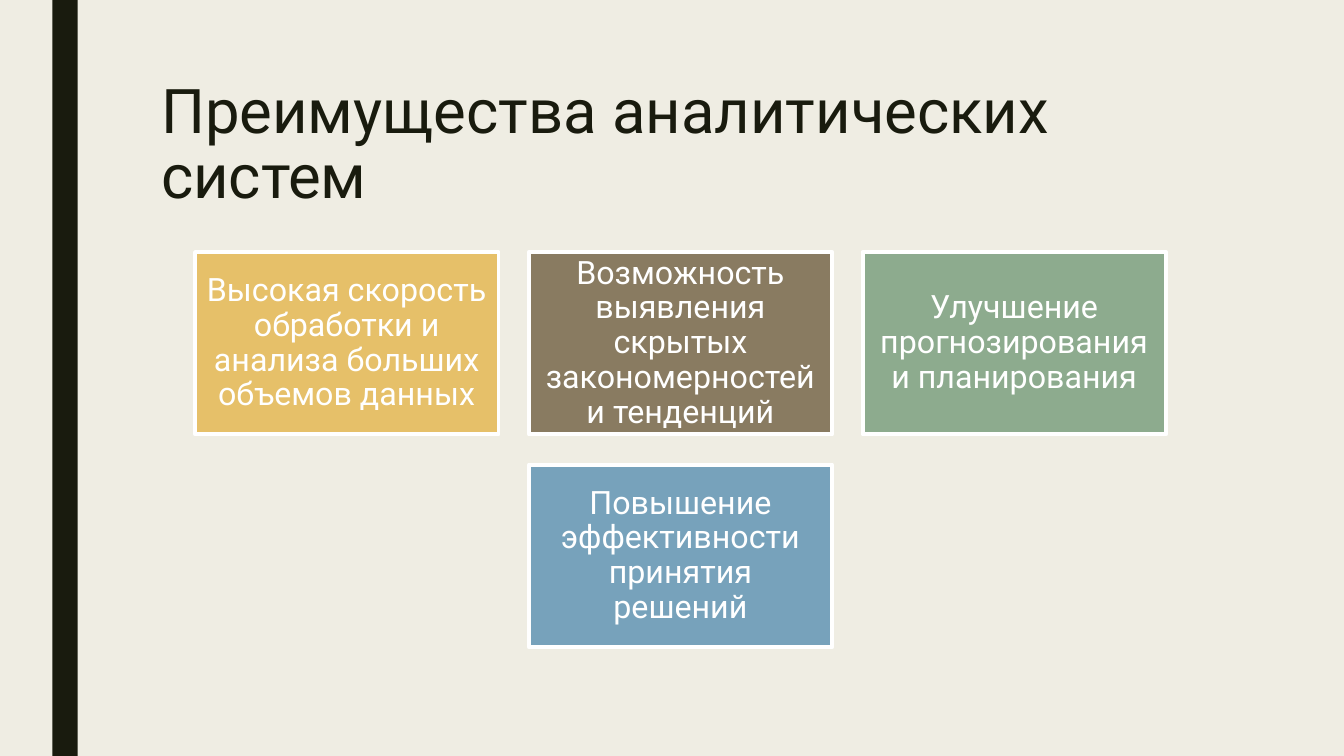
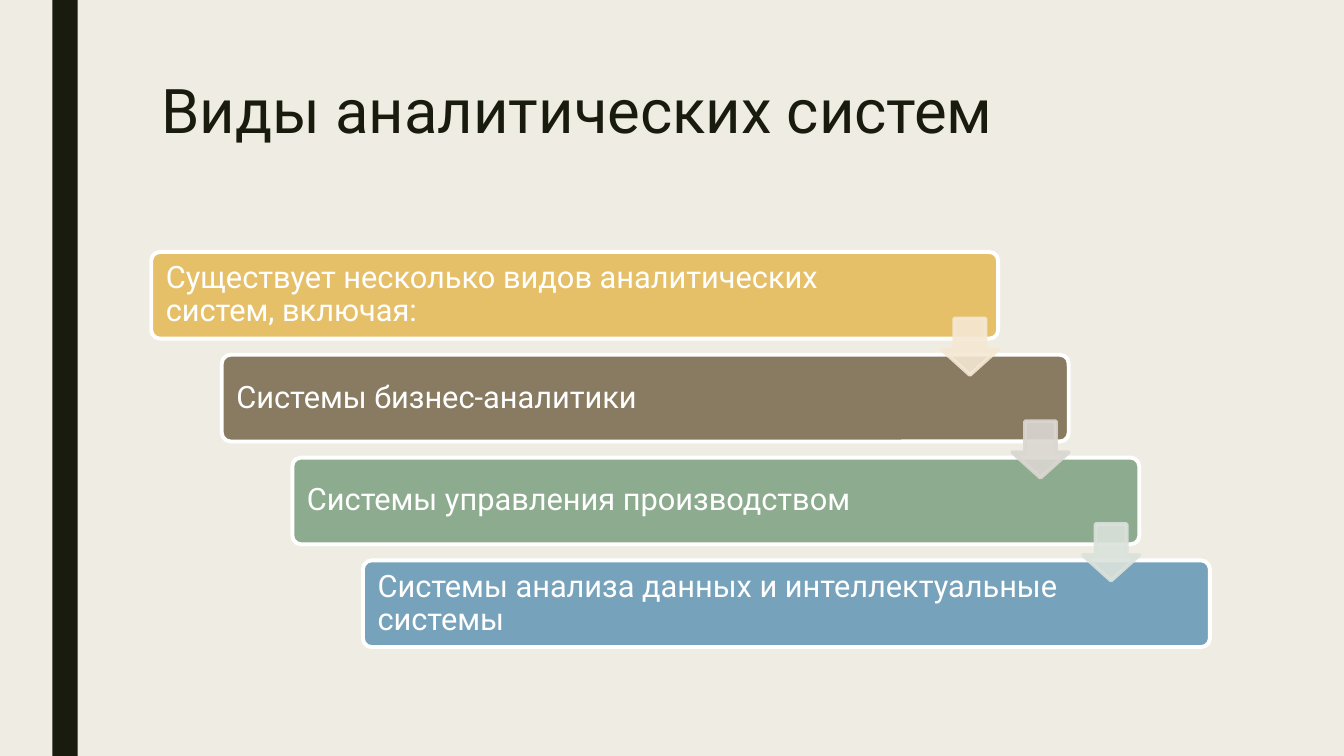
from lxml.etree import SubElement
from pptx import Presentation
from pptx.dml.color import RGBColor
from pptx.enum.shapes import MSO_SHAPE as SHAPE
from pptx.enum.text import MSO_ANCHOR as ANCHOR, PP_ALIGN as ALIGN
from pptx.oxml.ns import qn
from pptx.util import Inches, Pt

W, H = 13.33, 7.5
FONT = "Roboto"
COLORS = {
    "paper": "EFEDE3", "ink": "191B0E", "white": "FFFFFF",
    "gold": "E6C069", "brown": "897B61", "green": "8DAB8E", "blue": "77A2BB",
    "gold_tint": "F5E8D4", "brown_tint": "DAD7D2", "green_tint": "DBE2DB",
}
ACCENTS = ["gold", "brown", "green", "blue"]

BENEFITS_TITLE = "Преимущества аналитических систем"
BENEFITS = [
    "Высокая скорость обработки и анализа больших объемов данных",
    "Возможность выявления скрытых закономерностей и тенденций",
    "Улучшение прогнозирования и планирования",
    "Повышение эффективности принятия решений",
]
TYPES_TITLE = "Виды аналитических систем"
TYPES = [
    "Существует несколько видов аналитических систем, включая:",
    "Системы бизнес-аналитики",
    "Системы управления производством",
    "Системы анализа данных и интеллектуальные системы",
]

LEFT, TOP, BODY_W = 1.5, 2.5, 10.5
COLS, CARD_W, CARD_H, GAP = 3, 3.01, 1.81, 0.3
STEP_W, STEP_H, STEP_DX, STEP_DY = 8.4, 0.86, 0.7, 1.02
ARROW = 0.56


def rgb(name):
    return RGBColor.from_string(COLORS[name])


def write(sp, text, size, color, spacing, insets, align=ALIGN.LEFT, anchor=ANCHOR.MIDDLE):
    tf = sp.text_frame
    tf.word_wrap = True
    tf.vertical_anchor = anchor
    tf.margin_left, tf.margin_top, tf.margin_right, tf.margin_bottom = map(Inches, insets)
    p = tf.paragraphs[0]
    p.text = text
    p.alignment = align
    p.line_spacing = spacing
    p.font.name, p.font.size = FONT, Pt(size)
    p.font.color.rgb = rgb(color)


def add_box(slide, kind, x, y, w, h, fill, line=None):
    sp = slide.shapes.add_shape(kind, *map(Inches, (x, y, w, h)))
    sp.shadow.inherit = False
    sp.fill.solid()
    sp.fill.fore_color.rgb = rgb(fill)
    if line:
        sp.line.color.rgb = rgb(line)
        sp.line.width = Pt(2.75)
    else:
        sp.line.fill.background()
    return sp


def add_arrow(slide, x, y, color):
    sp = add_box(slide, SHAPE.DOWN_ARROW, x, y, ARROW, ARROW, color, color)
    sp.adjustments[0], sp.adjustments[1] = 0.55, 0.45
    for clr in sp._element.spPr.iter(qn("a:srgbClr")):
        SubElement(clr, qn("a:alpha"), val="90000")


def add_slide(prs, title):
    slide = prs.slides.add_slide(prs.slide_layouts[6])
    slide.background.fill.solid()
    slide.background.fill.fore_color.rgb = rgb("paper")
    add_box(slide, SHAPE.RECTANGLE, 0.52, 0, 0.25, H, "ink")
    box = slide.shapes.add_textbox(*map(Inches, (LEFT, 0.75, BODY_W, 1.62)))
    write(box, title, 44, "ink", 0.89, (0.1, 0.05, 0.1, 0.05), anchor=ANCHOR.TOP)
    return slide


def build_benefits(prs):
    slide = add_slide(prs, BENEFITS_TITLE)
    for i, (text, color) in enumerate(zip(BENEFITS, ACCENTS)):
        row, col = divmod(i, COLS)
        in_row = min(COLS, len(BENEFITS) - row * COLS)
        row_w = in_row * (CARD_W + GAP) - GAP
        x = LEFT + (BODY_W - row_w) / 2 + col * (CARD_W + GAP)
        y = TOP + row * (CARD_H + GAP)
        sp = add_box(slide, SHAPE.RECTANGLE, x, y, CARD_W, CARD_H, color, "white")
        write(sp, text, 23, "white", 0.9, (0.1,) * 4, ALIGN.CENTER)


def build_types(prs):
    slide = add_slide(prs, TYPES_TITLE)
    spots = [(LEFT + i * STEP_DX, TOP + i * STEP_DY) for i in range(len(TYPES))]
    for (x, y), text, color in zip(spots, TYPES, ACCENTS):
        sp = add_box(slide, SHAPE.ROUNDED_RECTANGLE, x, y, STEP_W, STEP_H, color, "white")
        sp.adjustments[0] = 0.1
        write(sp, text, 22, "white", 0.9, (0.12, 0.09, 1.37, 0.09))
    for (x, y), color in zip(spots[:-1], ACCENTS):
        add_arrow(slide, x + STEP_W - ARROW, y + 0.66, color + "_tint")


def main():
    prs = Presentation()
    prs.slide_width, prs.slide_height = Inches(W), Inches(H)
    build_benefits(prs)
    build_types(prs)
    prs.save("out.pptx")


if __name__ == "__main__":
    main()
